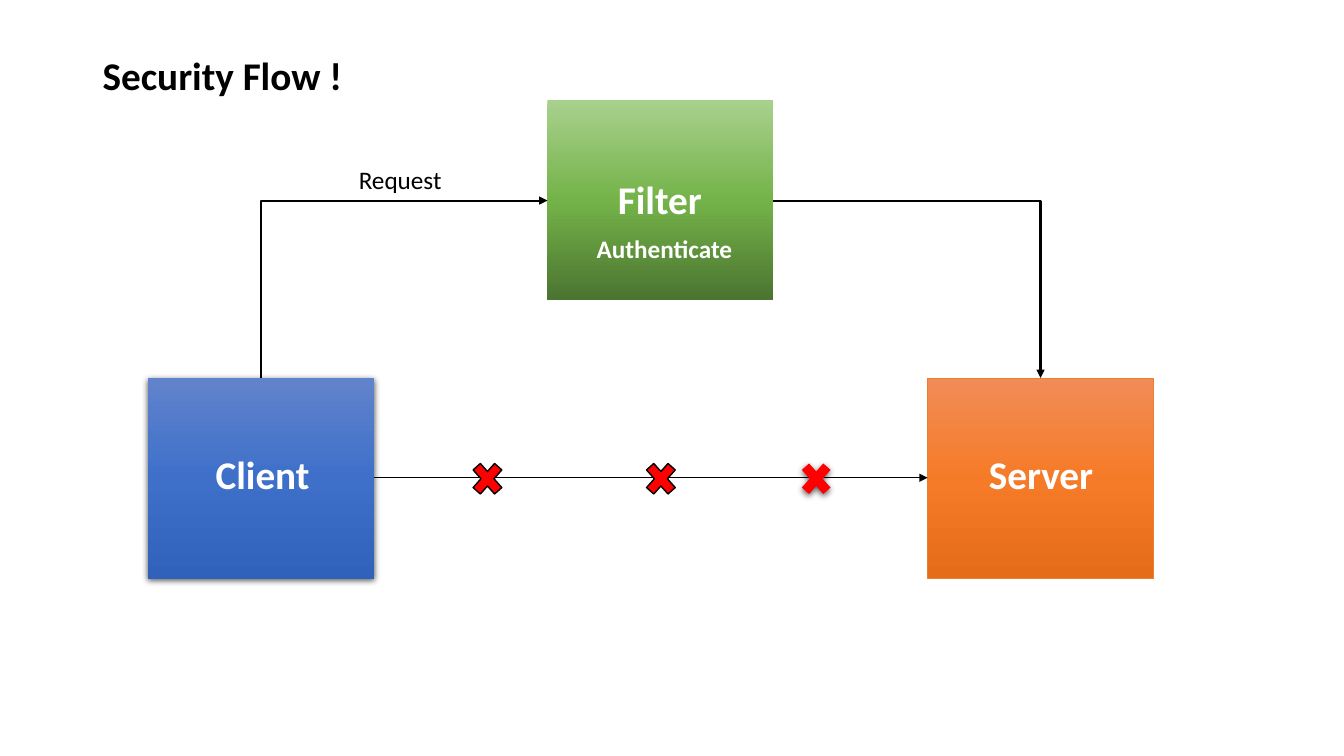
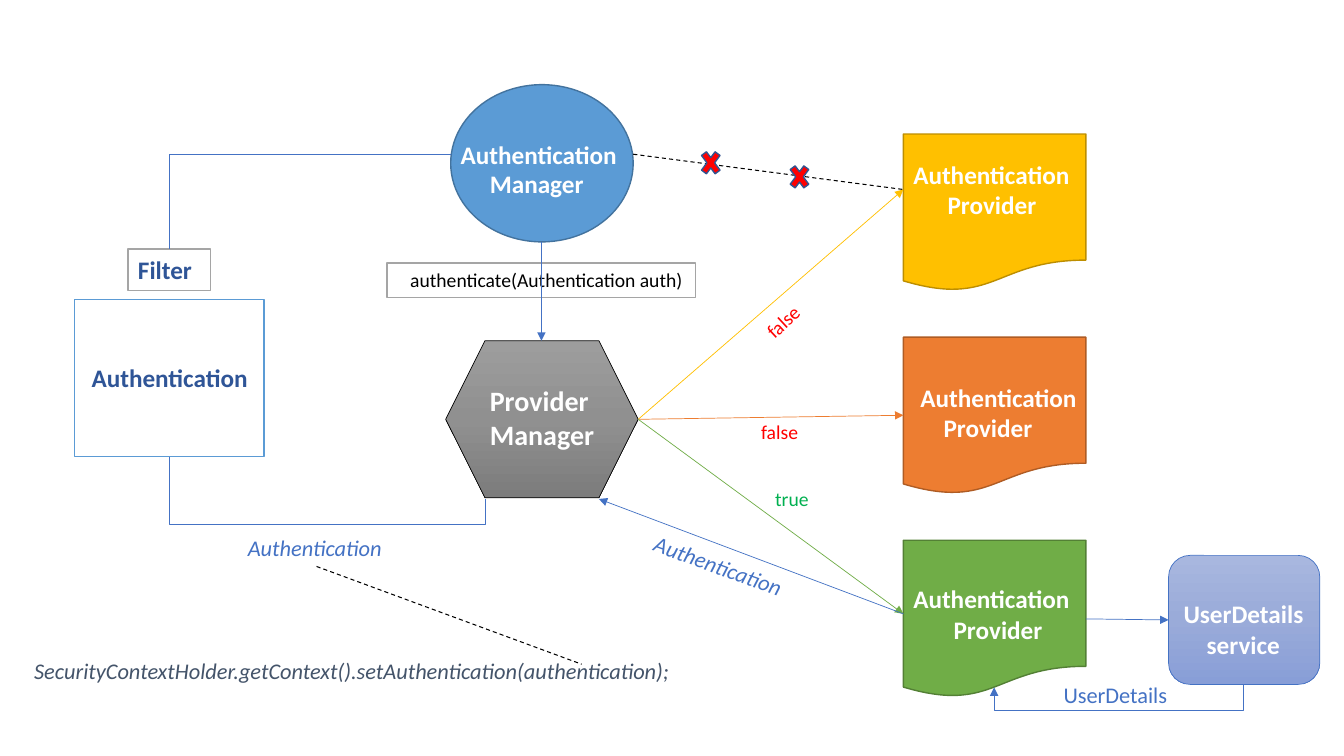
from copy import deepcopy
from dataclasses import dataclass
from enum import Enum
from typing import Optional, Union

from lxml.etree import SubElement
from pptx import Presentation
from pptx.dml.color import RGBColor
from pptx.enum.dml import MSO_LINE
from pptx.enum.shapes import MSO_CONNECTOR, MSO_SHAPE
from pptx.enum.text import MSO_ANCHOR, MSO_AUTO_SIZE
from pptx.oxml.ns import qn
from pptx.util import Inches, Pt

Point = tuple[float, float]
Gradient = tuple[str, str, str]


@dataclass(frozen=True)
class Theme:
    font: str = "Calibri"
    white: str = "FFFFFF"
    black: str = "000000"
    red: str = "FF0000"
    true_green: str = "00B050"
    navy: str = "2F5597"
    slate: str = "44546A"
    blue: str = "4472C4"
    sky: str = "5B9BD5"
    sky_edge: str = "43739E"
    gray: str = "A5A5A5"
    cross_edge: str = "325491"
    yellow: str = "FFC000"
    yellow_edge: str = "BD8E00"
    orange: str = "ED7D31"
    orange_edge: str = "AF5C24"
    green: str = "70AD47"
    green_edge: str = "538035"
    client: Gradient = ("6183CB", "3E70CA", "3062BB")
    server: Gradient = ("F18C57", "F67B28", "E56C19")
    filter: Gradient = ("A9D18E", "74B349", "4B7430")
    manager: Gradient = ("9D9D9D", "909090", "7C7C7C")
    service: Gradient = ("A8B7DF", "9AABD9", "889ED7")
    heading: int = 28
    subheading: int = 20
    body: int = 18
    note: int = 16
    small: int = 14


THEME = Theme()


class Arrow(Enum):
    AT_START = "a:headEnd"
    AT_END = "a:tailEnd"


@dataclass(frozen=True)
class Box:
    left: float
    top: float
    width: float
    height: float

    def emu(self) -> list[int]:
        return [Inches(v) for v in (self.left, self.top, self.width, self.height)]


@dataclass(frozen=True)
class Text:
    lines: tuple[str, ...]
    size: int = THEME.body
    color: str = THEME.white
    bold: bool = False
    italic: bool = False
    last_indent: float = 0  # inches, on the last line


@dataclass(frozen=True)
class Block:
    box: Box
    fill: Union[str, Gradient]
    edge: Optional[str] = None
    edge_width: float = 1
    preset: MSO_SHAPE = MSO_SHAPE.RECTANGLE
    shadow: bool = False
    text: Optional[Text] = None


@dataclass(frozen=True)
class Label:
    box: Box
    text: Text
    rotation: float = 0


@dataclass(frozen=True)
class Link:
    start: Point
    end: Point
    color: str = THEME.blue
    width: float = 0.5
    arrow: Optional[Arrow] = Arrow.AT_END
    dashed: bool = False


def rgb(color: str) -> RGBColor:
    return RGBColor.from_string(color)


def bold(*lines: str, size: int = THEME.body, color: str = THEME.white,
         last_indent: float = 0) -> Text:
    return Text(lines, size, color, bold=True, last_indent=last_indent)


def write(frame, text: Text) -> None:
    frame.word_wrap = True
    frame.vertical_anchor = MSO_ANCHOR.TOP
    for index, line in enumerate(text.lines):
        paragraph = frame.paragraphs[0] if index == 0 else frame.add_paragraph()
        properties = paragraph._p.get_or_add_pPr()
        properties.set("algn", "l")
        if text.last_indent and index == len(text.lines) - 1:
            properties.set("marL", str(Inches(text.last_indent)))
        run = paragraph.add_run()
        run.text = line
        font = run.font
        font.name, font.size = THEME.font, Pt(text.size)
        font.bold, font.italic = text.bold, text.italic
        font.color.rgb = rgb(text.color)


def paint(fill, colors: Union[str, Gradient]) -> None:
    """Fill with one colour, or with three from top to bottom."""
    if isinstance(colors, str):
        fill.solid()
        fill.fore_color.rgb = rgb(colors)
        return
    fill.gradient()
    fill.gradient_angle = 270
    first_stop = fill._fill._gradFill.find(qn("a:gsLst"))[0]
    first_stop.addnext(deepcopy(first_stop))
    for stop, color, position in zip(fill.gradient_stops, colors, (0, 0.5, 1)):
        stop.color.rgb = rgb(color)
        stop.position = position


def cast_shadow(shape) -> None:
    effects = shape._element.spPr.find(qn("a:effectLst"))
    outer = SubElement(effects, qn("a:outerShdw"), blurRad=str(Pt(4.5)),
                       dist=str(Pt(1.5)), dir="5400000", algn="ctr", rotWithShape="0")
    color = SubElement(outer, qn("a:srgbClr"), val=THEME.black)
    SubElement(color, qn("a:alpha"), val="63000")


def draw_block(slide, block: Block) -> None:
    shape = slide.shapes.add_shape(block.preset, *block.box.emu())
    shape.shadow.inherit = False
    paint(shape.fill, block.fill)
    if block.edge:
        shape.line.color.rgb = rgb(block.edge)
        shape.line.width = Pt(block.edge_width)
    else:
        shape.line.fill.background()
    if block.shadow:
        cast_shadow(shape)
    if block.text:
        write(shape.text_frame, block.text)


def draw_label(slide, label: Label):
    textbox = slide.shapes.add_textbox(*label.box.emu())
    textbox.rotation = label.rotation
    write(textbox.text_frame, label.text)
    textbox.text_frame.auto_size = MSO_AUTO_SIZE.SHAPE_TO_FIT_TEXT
    return textbox


def draw_title(slide, title: str) -> None:
    frame = draw_label(slide, Label(Box(0.92, 0.36, 11.5, 0.82),
                                    bold(title, size=THEME.heading, color=THEME.black))).text_frame
    frame.auto_size = MSO_AUTO_SIZE.NONE
    frame.vertical_anchor = MSO_ANCHOR.MIDDLE
    frame.paragraphs[0].line_spacing = 0.9


def draw_link(slide, link: Link, kind: MSO_CONNECTOR = MSO_CONNECTOR.STRAIGHT):
    connector = slide.shapes.add_connector(
        kind, *[Inches(v) for v in (*link.start, *link.end)])
    connector.line.color.rgb = rgb(link.color)
    connector.line.width = Pt(link.width)
    if link.dashed:
        connector.line.dash_style = MSO_LINE.DASH
    if link.arrow:
        SubElement(connector.line._get_or_add_ln(), qn(link.arrow.value), type="triangle")
    SubElement(connector._element.spPr, qn("a:effectLst"))
    return connector


def draw_corner(slide, link: Link) -> None:
    """Run level from the start, then turn once towards the end."""
    connector = draw_link(slide, link, MSO_CONNECTOR.ELBOW)
    connector._element.spPr.find(qn("a:prstGeom")).set("prst", "bentConnector2")


def draw_underpass(slide, link: Link, bottom: float) -> None:
    """Drop from the start to bottom, run left, then rise to the end."""
    (x1, y1), (x2, y2) = link.start, link.end
    mid_x, mid_y = (x1 + x2) / 2, (y1 + y2) / 2
    half_run, half_drop = (x1 - x2) / 2, (y2 - y1) / 2
    upright = Link((mid_x - half_drop, mid_y - half_run), (mid_x + half_drop, mid_y + half_run),
                   link.color, link.width, link.arrow)
    connector = draw_link(slide, upright, MSO_CONNECTOR.ELBOW)
    properties = connector._element.spPr
    properties.find(qn("a:xfrm")).set("rot", "5400000")
    guides = properties.find(qn("a:prstGeom")).find(qn("a:avLst"))
    bend = round((bottom - y1) / (y2 - y1) * 100000)
    SubElement(guides, qn("a:gd"), name="adj1", fmla=f"val {bend}")


def draw_crosses(slide, boxes: list[Box], edge: str, last_shadowed: bool = False) -> None:
    for box in boxes:
        shadowed = last_shadowed and box is boxes[-1]
        draw_block(slide, Block(box, THEME.red, None if shadowed else edge,
                                preset=MSO_SHAPE.MATH_MULTIPLY, shadow=shadowed))


def build_security_flow(slide) -> None:
    t = THEME
    width, height, row = 2.24, 1.99, 3.75
    draw_title(slide, "Security Flow !")
    for block in (
        Block(Box(1.47, row, width, height), t.client, shadow=True),
        Block(Box(9.2, row, width, height), t.server, t.orange, 0.5),
        Block(Box(5.43, 0.99, width, height), t.filter),
    ):
        draw_block(slide, block)
    draw_link(slide, Link((3.71, 4.74), (9.2, 4.74), t.black, 1))
    draw_crosses(slide, [Box(x, 4.52, 0.41, 0.46) for x in (4.63, 6.35, 7.89)], t.black, True)
    draw_corner(slide, Link((5.43, 1.99), (2.59, row), t.black, 1.5, Arrow.AT_START))
    draw_corner(slide, Link((7.67, 1.99), (10.32, row), t.black, 1.5))
    for label in (
        Label(Box(2.04, 4.42, 1.17, 0.57), bold("Client", size=t.heading)),
        Label(Box(9.71, 4.42, 1.67, 0.57), bold("Server", size=t.heading)),
        Label(Box(6.03, 1.69, 1.28, 0.57), bold("Filter", size=t.heading)),
        Label(Box(3.46, 1.58, 1.51, 0.4), Text(("Request",), color=t.black)),
        Label(Box(5.82, 2.27, 1.76, 0.4), bold("Authenticate")),
    ):
        draw_label(slide, label)


def build_authentication(slide) -> None:
    t = THEME
    provider_left, provider_width, tall = 8.96, 1.81, 1.56
    provider_colors = ((t.yellow, t.yellow_edge), (t.orange, t.orange_edge),
                       (t.green, t.green_edge))
    providers = [Block(Box(provider_left, 1.33 + 2.015 * i, provider_width, tall), fill, edge,
                       preset=MSO_SHAPE.FLOWCHART_DOCUMENT)
                 for i, (fill, edge) in enumerate(provider_colors)]
    for block in (
        Block(Box(0.74, 2.97, 1.88, tall), t.white, t.sky),
        Block(Box(1.27, 2.47, 0.82, 0.41), t.white, t.gray, text=bold("Filter", color=t.navy)),
        Block(Box(4.47, 0.84, 1.81, tall), t.sky, t.sky_edge, preset=MSO_SHAPE.OVAL),
        Block(Box(3.84, 2.61, 3.06, 0.34), t.white, t.gray,
              text=Text(("authenticate(Authentication auth)",), t.small, t.black,
                        last_indent=0.13)),
        *providers,
        Block(Box(4.42, 3.38, 1.91, tall), t.manager, t.black, 0.5, MSO_SHAPE.HEXAGON),
        Block(Box(11.59, 5.51, 1.5, 1.28), t.service, t.blue, 0.5, MSO_SHAPE.ROUNDED_RECTANGLE),
    ):
        draw_block(slide, block)

    manager_out = (6.33, 4.16)
    outcomes = ((t.yellow, 1.88), (t.orange, 4.12), (t.green, 6.09))
    for link in (
        Link((6.28, 1.53), (provider_left, 1.88), t.black, 0.75, None, True),
        Link((5.37, 2.4), (5.37, 3.38)),
        *(Link(manager_out, (provider_left, y), color) for color, y in outcomes),
        Link((10.77, 6.14), (11.59, 6.15)),
        Link((provider_left, 6.09), (5.94, 4.95)),
        Link((3.14, 5.62), (5.77, 6.59), t.black, 0.75, None, True),
    ):
        draw_link(slide, link)
    draw_corner(slide, Link((4.47, 1.53), (1.68, 2.47), arrow=None))
    draw_underpass(slide, Link((12.33, 6.79), (9.86, 6.82)), 7.05)
    draw_underpass(slide, Link((4.81, 4.95), (1.68, 4.53), arrow=None), 5.2)
    draw_crosses(slide, [Box(6.92, 1.44, 0.26, 0.35), Box(7.8, 1.58, 0.26, 0.35)], t.cross_edge)

    result = Text(("Authentication",), t.note, t.blue, italic=True)
    rejected = Text(("false",), t.small, t.red)
    for label in (
        Label(Box(0.81, 3.55, 1.8, 0.4), bold("Authentication", color=t.navy)),
        Label(Box(4.47, 1.33, 1.81, 0.4), bold("Authentication")),
        Label(Box(4.76, 1.62, 1.24, 0.4), bold("Manager")),
        *(Label(Box(x, y, 1.96, 0.71), bold("Authentication", "Provider", last_indent=indent))
          for x, y, indent in ((8.96, 1.53, 0.34), (9.03, 3.74, 0.23), (8.96, 5.74, 0.4))),
        Label(Box(4.76, 3.76, 1.5, 0.77), bold("Provider", "Manager", size=t.subheading)),
        Label(Box(7.46, 2.96, 0.75, 0.34), rejected, 317.2),
        Label(Box(7.45, 4.12, 0.88, 0.34), rejected),
        Label(Box(7.59, 4.78, 0.77, 0.34), Text(("true",), t.small, t.true_green)),
        Label(Box(11.64, 5.89, 1.64, 0.71), bold("UserDetails", "service", last_indent=0.23)),
        Label(Box(0.24, 6.47, 7.54, 0.37),
              Text(("SecurityContextHolder.getContext().setAuthentication(authentication);",),
                   t.note, t.slate, italic=True)),
        Label(Box(10.45, 6.71, 1.46, 0.37), Text(("UserDetails",), t.note, t.blue)),
        Label(Box(6.36, 5.44, 1.6, 0.37), result, 20.1),
        Label(Box(2.36, 5.25, 1.6, 0.37), result),
    ):
        draw_label(slide, label)


def main() -> None:
    deck = Presentation()
    deck.slide_width, deck.slide_height = Inches(13.33), Inches(7.5)
    blank = deck.slide_layouts[6]
    for build in (build_security_flow, build_authentication):
        build(deck.slides.add_slide(blank))
    deck.save("out.pptx")


if __name__ == "__main__":
    main()
